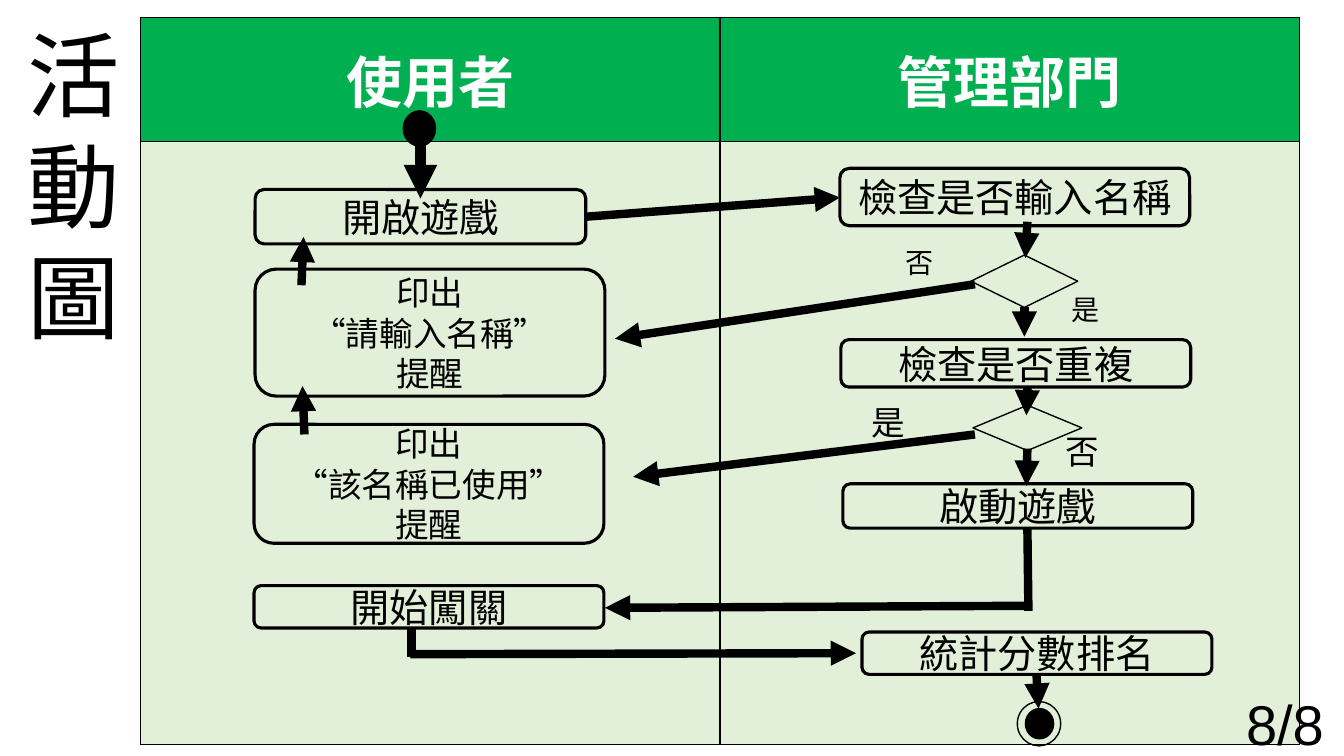
from dataclasses import dataclass
from lxml.etree import SubElement
from pptx import Presentation
from pptx.dml.color import RGBColor
from pptx.enum.shapes import MSO_CONNECTOR as Link, MSO_SHAPE as Kind
from pptx.enum.text import MSO_ANCHOR as Anchor, MSO_AUTO_SIZE as Fit, PP_ALIGN as Align
from pptx.oxml import parse_xml
from pptx.oxml.ns import nsdecls, qn
from pptx.util import Inches, Pt


@dataclass(frozen=True)
class Theme:
    ink: str = "000000"
    white: str = "FFFFFF"
    green: str = "00B050"
    pale: str = "E2F0D9"
    face: str = "Noto Sans CJK JP"
    bold: str = "Noto Sans CJK SC"
    latin: str = "Arial"
    title: int = 66
    head: int = 40
    step: int = 28
    note: int = 24
    small: int = 20
    thin: float = 1
    edge: float = 2.25
    arrow: float = 6
    thick: float = 8


@dataclass(frozen=True)
class Box:
    x: float
    y: float
    w: float
    h: float

    def sub(self, x, y, w, h):
        return Box(self.x + x, self.y + y, w, h)

    def size(self):
        return [Inches(n) for n in (self.x, self.y, self.w, self.h)]


T = Theme()


def tint(code):
    return RGBColor.from_string(code)


def style(frame, size, face=T.face, color=T.ink, bold=False, align=Align.LEFT):
    for para in frame.paragraphs:
        para.alignment = align
        for run in para.runs:
            font = run.font
            font.size, font.name, font.bold = Pt(size), face, bold
            font.color.rgb = tint(color)
            SubElement(font._element, qn("a:ea"), typeface=face)


def add_text(slide, box, text, size, face=T.face, wrap=True):
    frame = slide.shapes.add_textbox(*box.size()).text_frame
    frame.word_wrap = wrap
    frame.auto_size = Fit.SHAPE_TO_FIT_TEXT
    frame.text = text
    style(frame, size, face)


def add_node(slide, kind, box, fill=None, edge=T.thin):
    node = slide.shapes.add_shape(kind, *box.size())
    node.shadow.inherit = False
    if fill:
        node.fill.solid()
        node.fill.fore_color.rgb = tint(fill)
    else:
        node.fill.background()
    node.line.color.rgb = tint(T.ink)
    node.line.width = Pt(edge)
    return node


def add_step(slide, box, text, size=T.step):
    frame = add_node(slide, Kind.ROUNDED_RECTANGLE, box, T.pale, T.edge).text_frame
    frame.word_wrap = True
    frame.vertical_anchor = Anchor.MIDDLE
    frame.text = text
    style(frame, size, align=Align.CENTER)


def add_line(slide, box, ends, width=T.arrow, tip=True):
    x1, y1, x2, y2 = ends
    line = slide.shapes.add_connector(
        Link.STRAIGHT,
        Inches(box.x + x1), Inches(box.y + y1),
        Inches(box.x + x2), Inches(box.y + y2))
    line.line.color.rgb = tint(T.ink)
    line.line.width = Pt(width)
    if tip:
        SubElement(line.line._ln, qn("a:tailEnd"), type="triangle")
    SubElement(line._element.spPr, qn("a:effectLst"))


def add_edges(cell):
    props = cell._tc.get_or_add_tcPr()
    for spot, side in enumerate("LRTB"):
        props.insert(spot, parse_xml(
            f'<a:ln{side} {nsdecls("a")} w="{Pt(T.thin)}"><a:solidFill>'
            f'<a:srgbClr val="{T.ink}"/></a:solidFill></a:ln{side}>'))


def draw_board(slide, box, top):
    table = slide.shapes.add_table(2, 2, *box.size()).table
    table.rows[0].height = Inches(top)
    table.rows[1].height = Inches(box.h - top)
    heads = "使用者", "管理部門"
    for col, head in enumerate(heads):
        table.columns[col].width = Inches(box.w / len(heads))
        table.cell(0, col).text = head
        for row, fill in enumerate((T.green, T.pale)):
            cell = table.cell(row, col)
            cell.vertical_anchor = Anchor.MIDDLE
            cell.fill.solid()
            cell.fill.fore_color.rgb = tint(fill)
            add_edges(cell)
            style(cell.text_frame, T.head, T.bold, T.white, True, Align.CENTER)


def draw_user(slide, box):
    add_node(slide, Kind.OVAL, box.sub(2.61, -0.3, 0.32, 0.35), T.ink)
    for x, y, w, h, text, size in (
        (1.14, 0.48, 3.28, 0.54, "開啟遊戲", T.step),
        (1.14, 1.27, 3.47, 1.26, "印出\v“請輸入名稱”\v提醒", T.note),
        (1.13, 2.81, 3.47, 1.18, "印出\v“該名稱已使用”\v提醒", T.note),
        (1.13, 4.41, 3.47, 0.42, "開始闖關", T.step),
    ):
        add_step(slide, box.sub(x, y, w, h), text, size)


def draw_staff(slide, box):
    for x, y, h, text in (
        (1.19, 0.27, 0.57, "檢查是否輸入名稱"),
        (1.2, 1.97, 0.47, "檢查是否重複"),
        (1.22, 3.4, 0.44, "啟動遊戲"),
        (1.41, 4.87, 0.42, "統計分數排名"),
    ):
        add_step(slide, box.sub(x, y, 3.47, h), text)
    for part in (2.49, 1.13, 1.06, 0.52), (2.51, 2.62, 1.08, 0.45):
        add_node(slide, Kind.DIAMOND, box.sub(*part))
    for x, y, text in (1.74, 0.99, "否"), (3.39, 1.45, "是"):
        add_text(slide, box.sub(x, y, 0.48, 0.44), text, T.small, wrap=False)
    for x, y, text in (1.41, 2.54, "是"), (3.33, 2.83, "否"):
        add_text(slide, box.sub(x, y, 0.54, 0.5), text, T.note)
    add_node(slide, Kind.OVAL, box.sub(2.95, 5.56, 0.43, 0.44))
    add_node(slide, Kind.OVAL, box.sub(3.03, 5.63, 0.28, 0.3), T.ink)


def draw_flow(slide, box):
    add_line(slide, box, (2.78, 1.16, 2.78, 1.8), T.thick)
    for ends in (
        (4.42, 1.98, 6.94, 1.79),
        (8.8, 2.03, 8.78, 2.39),
        (8.28, 2.65, 4.71, 3.19),
        (8.77, 2.88, 8.77, 3.17),
        (8.8, 3.67, 8.79, 3.95),
        (8.28, 4.14, 4.89, 4.56),
        (8.8, 4.28, 8.79, 4.65),
        (1.63, 4.14, 1.61, 3.66),
        (1.6, 2.66, 1.62, 2.18),
        (8.79, 5.84, 4.61, 5.86),
        (2.68, 6.32, 7.1, 6.31),
        (8.89, 6.52, 8.91, 6.86),
    ):
        add_line(slide, box, ends)
    for ends in (8.81, 5.89, 8.8, 5.07), (2.69, 6.35, 2.69, 6.06):
        add_line(slide, box, ends, tip=False)


def main():
    deck = Presentation()
    deck.slide_width, deck.slide_height = Inches(13.33), Inches(7.5)
    slide = deck.slides.add_slide(deck.slide_layouts[6])
    board, top = Box(1.39, 0.17, 11.5, 7.22), 1.23
    half, rest = board.w / 2, board.h - top
    draw_board(slide, board, top)
    draw_user(slide, board.sub(0, top, half, rest))
    draw_staff(slide, board.sub(half, top, half, rest))
    draw_flow(slide, board)
    add_text(slide, Box(0.17, 0.13, 0.83, 3.43), "活動圖", T.title)
    add_text(slide, Box(12.26, 6.79, 1.05, 0.77), "8/8", T.head, T.latin, False)
    deck.save("out.pptx")


if __name__ == "__main__":
    main()
